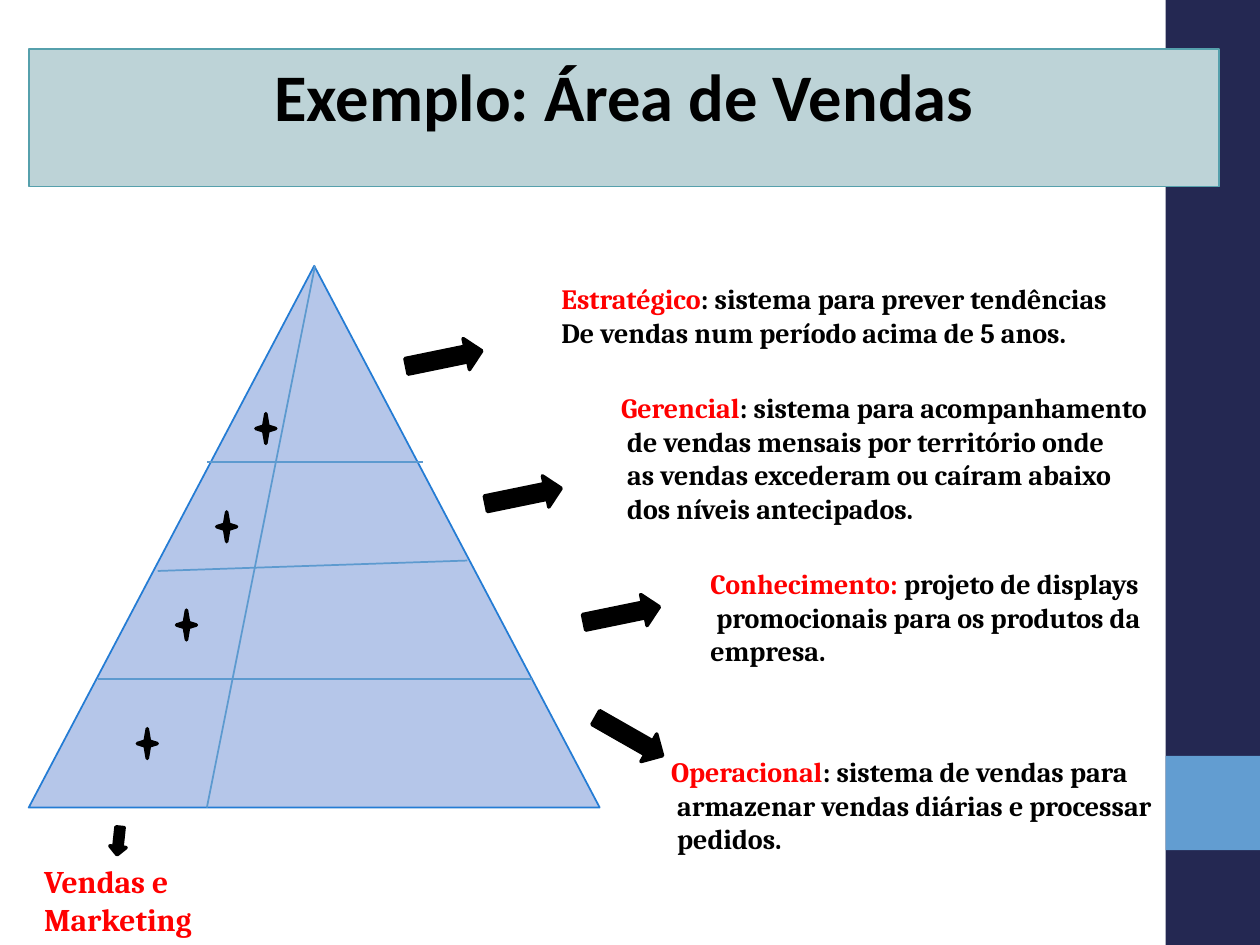
import math

import pptx
import pptx.dml.color
import pptx.enum.shapes
import pptx.enum.text
import pptx.util
from lxml import etree
from pptx.util import Cm

SHAPE = pptx.enum.shapes.MSO_SHAPE
ALIGN = pptx.enum.text.PP_ALIGN
BLACK, RED = "000000", "FF0000"

TITLE = "Exemplo: Área de Vendas"

# Places and sizes are in centimetres.
BARS = [(23.5, 0, 1.9, 19.05, "242852"), (23.5, 15.24, 1.9, 1.9, "629DD1")]
TITLE_BOX = (0.58, 0.99, 24, 2.77)
PYRAMID = (0.58, 5.36, 11.51, 10.92)
CUTS = [
    (6.35, 5.36, 4.17, 16.28),
    (4.17, 9.32, 8.53, 9.32),
    (3.18, 11.51, 9.42, 11.3),
    (1.98, 13.69, 10.72, 13.69),
]

# Box, red words, then the black lines that follow them
LEVELS = [
    ((11.07, 5.56, 11.71, 1.63), "Estratégico",
     [": sistema para prever tendências",
      "De vendas num período acima de 5 anos."]),
    ((12.27, 7.75, 11.15, 2.97), "Gerencial",
     [": sistema para acompanhamento",
      " de vendas mensais por território onde",
      " as vendas excederam ou caíram abaixo",
      " dos níveis antecipados."]),
    ((14.07, 11.3, 9.35, 2.29), "Conhecimento: ",
     ["projeto de displays",
      " promocionais para os produtos da",
      "empresa."]),
    ((13.28, 15.09, 10.21, 2.29), "Operacional",
     [": sistema de vendas para",
      " armazenar vendas diárias e processar",
      " pedidos."]),
]
AREA_BOX = (0.64, 17.25, 3.51, 1.78)
AREA = ["Vendas e", "Marketing"]

# Left, top, width, height, turn in degrees
ARROWS = [
    (8.18, 6.91, 1.55, 0.64, 348.4),
    (9.78, 9.68, 1.55, 0.64, 348.4),
    (11.76, 12.07, 1.55, 0.64, 348.4),
    (11.91, 14.53, 1.55, 0.64, 29.7),
    (2.11, 16.79, 0.56, 0.33, 96.1),
]
STARS = [(5.36, 8.64), (4.57, 10.62), (3.76, 12.6), (2.97, 14.99)]


def rgb(code):
    return pptx.dml.color.RGBColor.from_string(code)


def paint(shape, fill, line=None, width=1):
    shape.shadow.inherit = False
    shape.fill.solid()
    shape.fill.fore_color.rgb = rgb(fill)
    if line:
        shape.line.color.rgb = rgb(line)
        shape.line.width = pptx.util.Pt(width)
    else:
        shape.line.fill.background()


def write(frame, lines, size=16, font="Cambria", align=ALIGN.LEFT):
    """Fill a frame; each line is a list of (text, colour) runs."""
    for num, runs in enumerate(lines):
        para = frame.add_paragraph() if num else frame.paragraphs[0]
        para.alignment = align
        for text, color in runs:
            run = para.add_run()
            run.text = text
            run.font.size = pptx.util.Pt(size)
            run.font.name = font
            run.font.bold = True
            run.font.color.rgb = rgb(color)


def add_text(shapes, box, lines, **form):
    frame = shapes.add_textbox(*map(Cm, box)).text_frame
    frame.word_wrap = False
    frame.auto_size = pptx.enum.text.MSO_AUTO_SIZE.SHAPE_TO_FIT_TEXT
    write(frame, lines, **form)


def add_line(shapes, ends):
    line = shapes.add_connector(
        pptx.enum.shapes.MSO_CONNECTOR.STRAIGHT, *map(Cm, ends))
    line.line.color.rgb = rgb("5D9ACF")
    line.line.width = pptx.util.Pt(1)
    tag = pptx.oxml.ns.qn("a:effectLst")
    etree.SubElement(line.element.spPr, tag)


def add_star(shapes, left, top):
    """Draw a four-pointed star around a centre."""
    points = []
    for step in range(8):
        wide, high = (0.06, 0.07) if step % 2 else (0.2, 0.3)
        angle = step * math.pi / 4
        points.append((Cm(left + wide * math.cos(angle)),
                       Cm(top + high * math.sin(angle))))
    form = shapes.build_freeform(*points[0])
    form.add_line_segments(points[1:], close=True)
    paint(form.convert_to_shape(), BLACK, BLACK, 2)


def main():
    deck = pptx.Presentation()
    deck.slide_width, deck.slide_height = Cm(25.4), Cm(19.05)
    slide = deck.slides.add_slide(deck.slide_layouts[5])
    shapes = slide.shapes
    title = shapes.title

    for *box, color in BARS:
        bar = shapes.add_shape(SHAPE.RECTANGLE, *map(Cm, box))
        paint(bar, color)
        title.element.addprevious(bar.element)

    title.left, title.top, title.width, title.height = map(Cm, TITLE_BOX)
    title.fill.solid()
    title.fill.fore_color.rgb = rgb("BDD3D7")
    title.line.color.rgb = rgb("56A0AC")
    title.line.width = pptx.util.Pt(1)
    title.text_frame.vertical_anchor = pptx.enum.text.MSO_ANCHOR.TOP
    title.text_frame.auto_size = pptx.enum.text.MSO_AUTO_SIZE.NONE
    write(title.text_frame, [[(TITLE, BLACK)]],
          size=38, font="Calibri", align=ALIGN.CENTER)

    cone = shapes.add_shape(SHAPE.ISOSCELES_TRIANGLE, *map(Cm, PYRAMID))
    paint(cone, "B5C6E9", "247CD4")
    for ends in CUTS:
        add_line(shapes, ends)

    for box, head, (first, *rest) in LEVELS:
        lines = [[(head, RED), (first, BLACK)]]
        lines += [[(text, BLACK)] for text in rest]
        add_text(shapes, box, lines)
    add_text(shapes, AREA_BOX, [[(text, RED)] for text in AREA], size=18)

    for *box, turn in ARROWS:
        arrow = shapes.add_shape(SHAPE.RIGHT_ARROW, *map(Cm, box))
        arrow.rotation = turn
        paint(arrow, BLACK, BLACK, 2)
    for spot in STARS:
        add_star(shapes, *spot)

    deck.save("out.pptx")


if __name__ == "__main__":
    main()
